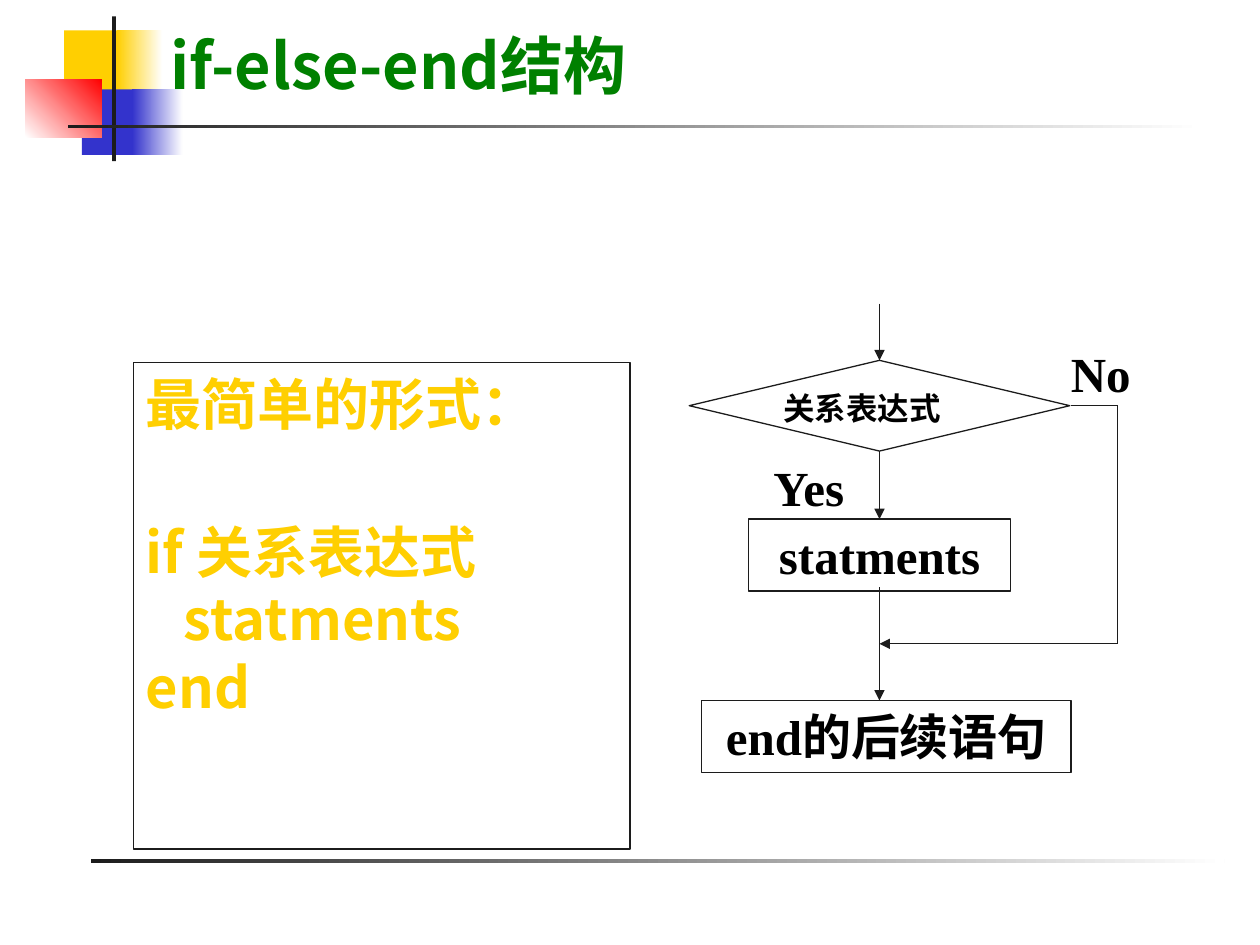
"""Build a slide that explains the if-else-end structure with a flowchart."""
from typing import NamedTuple, Optional

from lxml import etree
from pptx import Presentation
from pptx import util as u
from pptx.dml.color import RGBColor
from pptx.enum import shapes, text
from pptx.oxml import ns

COLUMNS, ROWS = 100, 75
WIDTH, HEIGHT = u.Inches(10), u.Inches(7.5)
SANS, SERIF = "Noto Sans CJK SC", "Times New Roman"
INK, BLACK, WHITE = "1C1C1C", "000000", "FFFFFF"
GOLD, BLUE, RED, GREEN = "FFCF01", "3333CC", "FF0000", "008000"
SHAPE, ALIGN = shapes.MSO_SHAPE, text.PP_ALIGN
AXIS, BYPASS, DECISION_ROW, MERGE_ROW = 69.8, 88.7, 32.2, 51.1


class Area(NamedTuple):
    left: float
    top: float
    width: float
    height: float


class Block(NamedTuple):
    area: Area
    start: str
    end: Optional[str] = None
    angle: int = 0


class Line(NamedTuple):
    words: str
    indent: float = 0
    before: float = 0


class Style(NamedTuple):
    font: str
    size: int
    color: str
    align: ALIGN = ALIGN.LEFT


class Node(NamedTuple):
    area: Area
    lines: list[Line]
    style: Style
    kind: Optional[SHAPE] = None


class Link(NamedTuple):
    x1: float
    y1: float
    x2: float
    y2: float
    arrow: bool = True


LABEL = Style(SERIF, 28, BLACK)
CENTERED = LABEL._replace(align=ALIGN.CENTER)
TITLE = Node(Area(12.5, 1.6, 48.3, 7), [Line("if-else-end结构")], Style(SANS, 36, GREEN))

BLOCKS = [
    Block(Area(5.1, 2.4, 4.8, 5.2), GOLD),
    Block(Area(9.3, 2.4, 3.6, 5.2), GOLD, WHITE),
    Block(Area(6.5, 7.1, 4.6, 5.2), BLUE),
    Block(Area(10.5, 7.1, 4, 5.2), BLUE, WHITE),
    Block(Area(2, 6.3, 6.1, 4.6), WHITE, RED, 45),
    Block(Area(8.9, 1.3, 0.3, 11.5), INK),
    Block(Area(5.4, 9.9, 90, 0.3), INK, WHITE),
    Block(Area(7.2, 68.2, 90, 0.3), INK, WHITE),
]

NODES = [
    Node(Area(10.6, 28.8, 39.4, 38.6),
         [Line("最简单的形式："), Line("if 关系表达式", before=46.5),
          Line("statments", indent=3), Line("end")],
         Style(SANS, 32, GOLD), SHAPE.RECTANGLE),
    Node(Area(54.7, 28.6, 30.2, 7.2), [], LABEL, SHAPE.FLOWCHART_DECISION),
    Node(Area(59.4, 30.4, 23.4, 4), [Line("关系表达式", indent=1.8)], Style(SERIF, 18, BLACK)),
    Node(Area(59.4, 41.2, 20.8, 5.7), [Line("statments")], CENTERED, SHAPE.RECTANGLE),
    Node(Area(55.7, 55.6, 29.3, 5.7), [Line("end的后续语句")], CENTERED, SHAPE.RECTANGLE),
    Node(Area(60.4, 35.8, 8.5, 5.7), [Line("Yes")], LABEL),
    Node(Area(84, 26.8, 8.5, 5.7), [Line("No")], LABEL),
]

LINKS = [
    Link(AXIS, 24.1, AXIS, 28.6),
    Link(AXIS, 35.8, AXIS, 41.2),
    Link(AXIS, 46.6, AXIS, 55.6),
    Link(85, DECISION_ROW, BYPASS, DECISION_ROW, False),
    Link(BYPASS, DECISION_ROW, BYPASS, MERGE_ROW, False),
    Link(BYPASS, MERGE_ROW, AXIS, MERGE_ROW),
]


def rgb(color: str) -> RGBColor:
    """Turn a hex string into a colour."""
    return RGBColor.from_string(color)


def across(columns: float) -> int:
    """Turn grid columns into a length."""
    return round(WIDTH * columns / COLUMNS)


def down(rows: float) -> int:
    """Turn grid rows into a length."""
    return round(HEIGHT * rows / ROWS)


def place(area: Area) -> tuple[int, int, int, int]:
    """Turn a grid area into left, top, width and height."""
    return across(area.left), down(area.top), across(area.width), down(area.height)


def draw_block(page, block: Block) -> None:
    """Draw a plain or fading decoration block."""
    box = page.shapes.add_shape(SHAPE.RECTANGLE, *place(block.area))
    box.shadow.inherit = False
    box.line.fill.background()
    if block.end is None:
        box.fill.solid()
        box.fill.fore_color.rgb = rgb(block.start)
        return
    box.fill.gradient()
    box.fill.gradient_angle = block.angle
    for stop, color in zip(box.fill.gradient_stops, (block.start, block.end)):
        stop.color.rgb = rgb(color)


def write(box, node: Node) -> None:
    """Write the lines of a node into its box."""
    frame = box.text_frame
    frame.word_wrap = True
    frame.auto_size = text.MSO_AUTO_SIZE.NONE
    frame.vertical_anchor = text.MSO_ANCHOR.TOP
    for index, line in enumerate(node.lines):
        para = frame.add_paragraph() if index else frame.paragraphs[0]
        para.alignment = node.style.align
        para.space_before = u.Pt(line.before)
        para._p.get_or_add_pPr().set("marL", str(across(line.indent)))
        span = para.add_run()
        span.text = line.words
        span.font.name, span.font.size = node.style.font, u.Pt(node.style.size)
        span.font.bold = True
        span.font.color.rgb = rgb(node.style.color)
        etree.SubElement(span.font._element, ns.qn("a:ea"), typeface=SANS)


def draw_node(page, node: Node) -> None:
    """Draw a text box or an outlined shape with its text."""
    if node.kind is None:
        box = page.shapes.add_textbox(*place(node.area))
    else:
        box = page.shapes.add_shape(node.kind, *place(node.area))
        box.shadow.inherit = False
        box.fill.background()
        box.line.color.rgb = rgb(INK)
        box.line.width = u.Pt(0.75)
    write(box, node)


def draw_link(page, link: Link) -> None:
    """Draw a flow line, with an arrowhead where asked."""
    line = page.shapes.add_connector(
        shapes.MSO_CONNECTOR.STRAIGHT,
        across(link.x1), down(link.y1), across(link.x2), down(link.y2))
    line.line.color.rgb = rgb(INK)
    line.line.width = u.Pt(0.75)
    if link.arrow:
        etree.SubElement(line.line._get_or_add_ln(), ns.qn("a:tailEnd"), type="triangle")
    etree.SubElement(line._element.spPr, ns.qn("a:effectLst"))


def main() -> None:
    """Build and save the deck."""
    deck = Presentation()
    deck.slide_width, deck.slide_height = WIDTH, HEIGHT
    page = deck.slides.add_slide(deck.slide_layouts[5])
    for block in BLOCKS:
        draw_block(page, block)
    title = page.shapes.title
    title.left, title.top, title.width, title.height = place(TITLE.area)
    write(title, TITLE)
    page.shapes._spTree.append(title._element)
    for node in NODES:
        draw_node(page, node)
    for link in LINKS:
        draw_link(page, link)
    deck.save("out.pptx")


if __name__ == "__main__":
    main()
